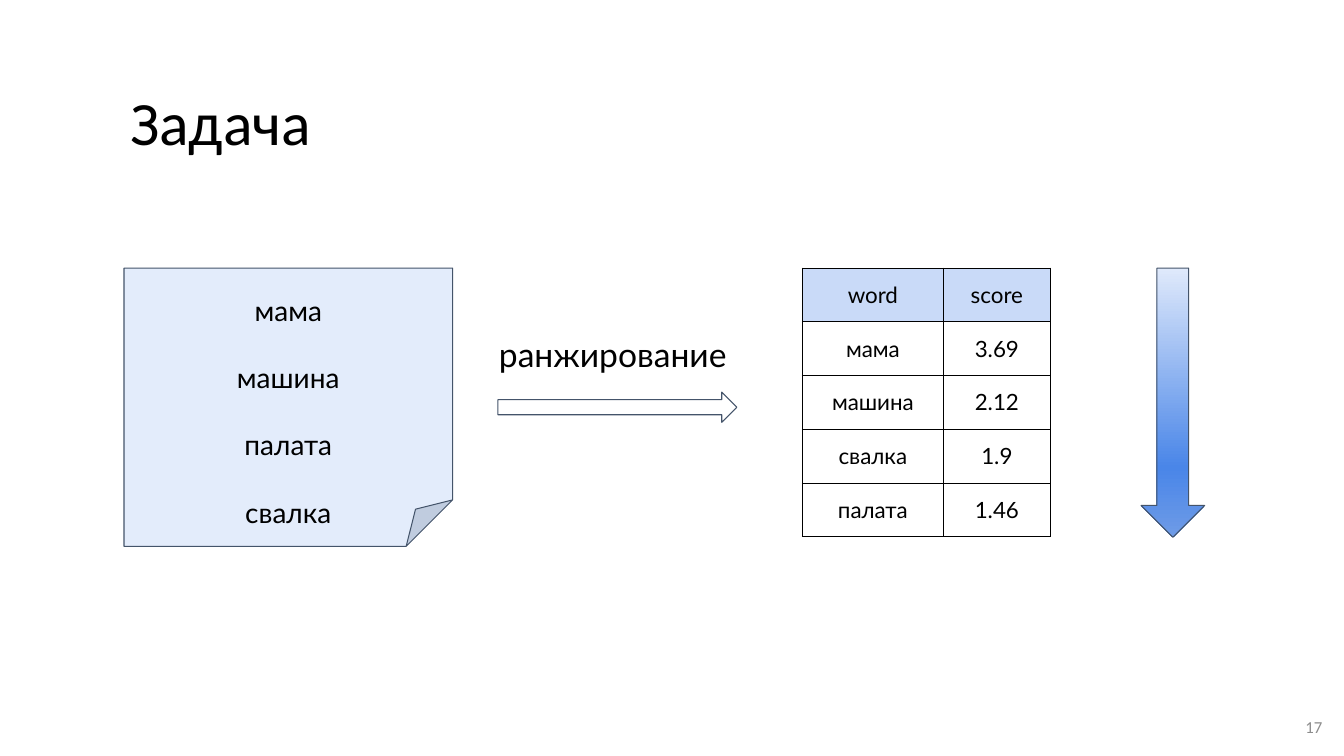
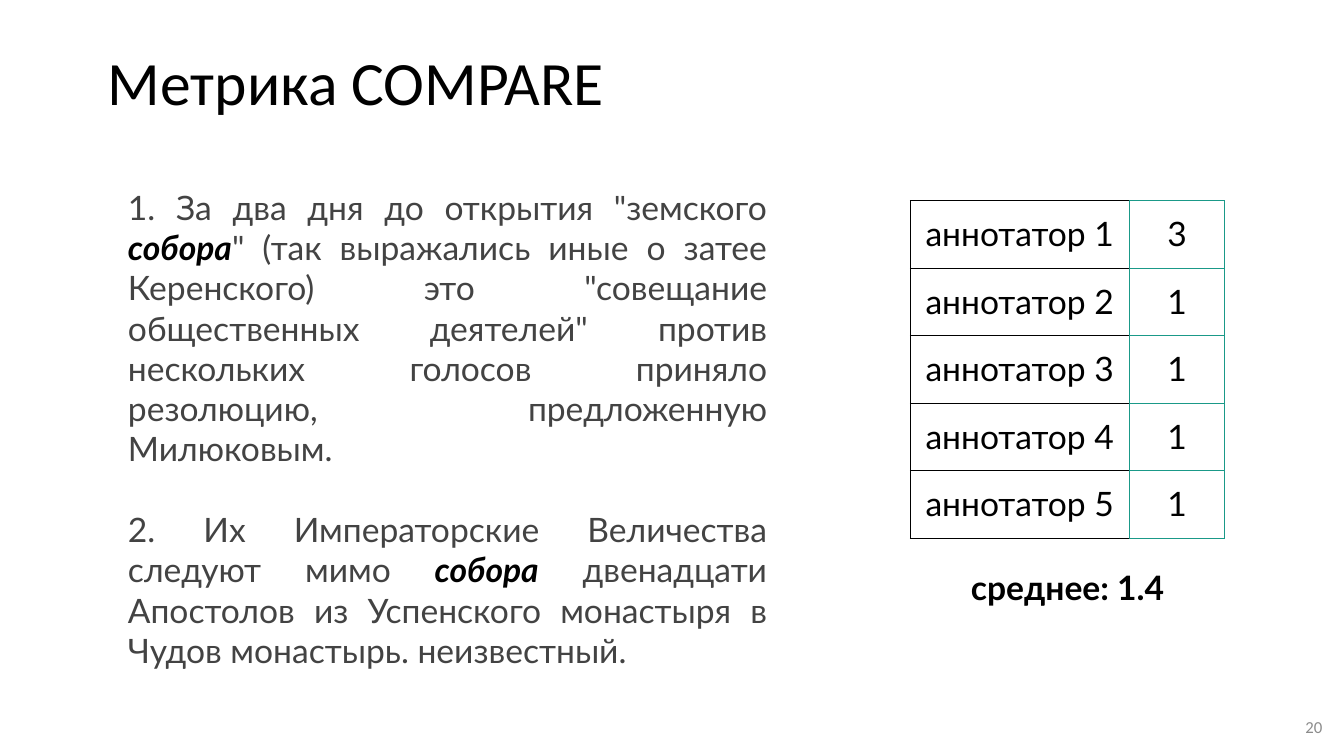
"""Two slides on ranking words and on the COMPARE metric."""
from lxml.etree import SubElement
from pptx import Presentation
from pptx.dml.color import RGBColor
from pptx.enum.shapes import MSO_SHAPE
from pptx.enum.text import MSO_ANCHOR, PP_ALIGN
from pptx.oxml.ns import qn
from pptx.util import Inches, Pt

BLACK, WHITE, GREY, DARK = "000000", "FFFFFF", "8C8C8C", "434343"
PALE_BLUE, OUTLINE, TEAL = "C9DAF8", "44546A", "1A9988"
BODY_FONT, TITLE_FONT = "Lato", "Calibri"
INSET = Inches(0.13)
LEFT, CENTER, RIGHT, JUSTIFY = PP_ALIGN.LEFT, PP_ALIGN.CENTER, PP_ALIGN.RIGHT, PP_ALIGN.JUSTIFY
CONTENT_TOP = 35.47

presentation = Presentation()
presentation.slide_width = Inches(13.33)
presentation.slide_height = Inches(7.5)


def place(left, top, width, height):
    """Turn percentages of the slide into lengths."""
    across, down = presentation.slide_width / 100, presentation.slide_height / 100
    return int(left * across), int(top * down), int(width * across), int(height * down)


def write(frame, paragraphs, size, align=LEFT, font=BODY_FONT, gap=0):
    """Fill a text frame with paragraphs of (text, colour, emphasis) runs."""
    frame.word_wrap = True
    for index, runs in enumerate(paragraphs):
        paragraph = frame.add_paragraph() if index else frame.paragraphs[0]
        paragraph.alignment = align
        paragraph.space_before = Pt(gap if index else 0)
        for text, colour, emphasis in runs:
            run = paragraph.add_run()
            run.text = text
            run.font.name, run.font.size = font, Pt(size)
            run.font.color.rgb = RGBColor.from_string(colour)
            run.font.bold, run.font.italic = "b" in emphasis, "i" in emphasis


slides = []
for title, number, left, top in [("Задача", "17", 8.7, 10.53), ("Метрика COMPARE", "20", 7.05, 5.2)]:
    slide = presentation.slides.add_slide(presentation.slide_layouts[6])
    slides.append(slide)
    heading = slide.shapes.add_textbox(*place(left, top, 84.07, 10.4))
    write(heading.text_frame, [[(title, BLACK, "")]], 44, font=TITLE_FONT)
    heading.text_frame.paragraphs[0].line_spacing = 0.9
    page = slide.shapes.add_textbox(*place(93.37, 92.4, 6, 7.6))
    write(page.text_frame, [[(number, GREY, "")]], 12, RIGHT, TITLE_FONT)
    page.text_frame.vertical_anchor = MSO_ANCHOR.MIDDLE
task, metric = slides

shapes = []
for kind, box in [
    (MSO_SHAPE.FOLDED_CORNER, (9.23, CONTENT_TOP, 24.45, 36.8)),
    (MSO_SHAPE.RIGHT_ARROW, (37.05, 51.87, 17.78, 4)),
    (MSO_SHAPE.DOWN_ARROW, (84.9, CONTENT_TOP, 4.73, 35.6)),
]:
    shape = task.shapes.add_shape(kind, *place(*box))
    shape.shadow.inherit = False
    shape.fill.solid()
    shape.fill.fore_color.rgb = RGBColor.from_string(WHITE)
    shape.line.color.rgb = RGBColor.from_string(OUTLINE)
    shape.line.width = Pt(0.75)
    shapes.append(shape)
note, ranking_arrow, score_arrow = shapes

note.fill.fore_color.rgb = RGBColor.from_string(PALE_BLUE)
note_colour = note._element.spPr.find(qn("a:solidFill"))[0]
SubElement(note_colour, qn("a:alpha"), val="51000")
words = ["мама", "машина", "палата", "свалка"]
write(note.text_frame, [[(word, BLACK, "")] for word in words], 20, CENTER, gap=24)
note.text_frame.vertical_anchor = MSO_ANCHOR.TOP

score_arrow.fill.gradient()
score_arrow.fill.gradient_angle = 270
stops = score_arrow._element.spPr.find(qn("a:gradFill")).find(qn("a:gsLst"))
for stop in list(stops):
    stops.remove(stop)
for position, colour in [(0, "DFE9FB"), (74, "4A86E8"), (100, "6E9BE7")]:
    stop = SubElement(stops, qn("a:gs"), pos=str(position * 1000))
    SubElement(stop, qn("a:srgbClr"), val=colour)

sentences = [
    [
        ('1. За два дня до открытия "земского ', DARK, ""),
        ("собора", BLACK, "bi"),
        ('" (так выражались иные о затее Керенского) это "совещание общественных деятелей" '
         "против нескольких голосов приняло резолюцию, предложенную Милюковым.", DARK, ""),
    ],
    [
        ("2. Их Императорские Величества следуют мимо ", DARK, ""),
        ("собора", BLACK, "bi"),
        (" двенадцати Апостолов из Успенского монастыря в Чудов монастырь. неизвестный.", DARK, ""),
    ],
]
for slide, box, paragraphs, align, gap in [
    (task, (36.15, 42.4, 19.58, 8.93), [[("ранжирование", BLACK, "")]], LEFT, 0),
    (metric, (7.05, 22.93, 51, 68.27), sentences, JUSTIFY, 28.8),
    (metric, (70.13, 73.2, 18.6, 8.93), [[("среднее: 1.4", BLACK, "b")]], CENTER, 0),
]:
    text_box = slide.shapes.add_textbox(*place(*box))
    write(text_box.text_frame, paragraphs, 24, align, gap=gap)
    if align == JUSTIFY:
        for paragraph in text_box.text_frame.paragraphs:
            paragraph._p.get_or_add_pPr().set("marL", str(Inches(0.2)))

for slide in slides:
    for shape in slide.shapes:
        frame = shape.text_frame
        frame.margin_left = frame.margin_right = frame.margin_top = frame.margin_bottom = INSET
note.text_frame.margin_top = Inches(0.25)

scores = [("word", "score"), ("мама", "3.69"), ("машина", "2.12"), ("свалка", "1.9"), ("палата", "1.46")]
marks = [(f"аннотатор {index}", mark) for index, mark in enumerate("31111", 1)]
for slide, rows, left, top, widths, row_height, size, header_fill, borders in [
    (task, scores, 59.7, CONTENT_TOP, (10.5, 7.95), 7.11, 16, PALE_BLUE, (BLACK, BLACK)),
    (metric, marks, 67.73, 26.53, (16.28, 7.13), 8.93, 24, None, (BLACK, TEAL)),
]:
    box = place(left, top, sum(widths), row_height * len(rows))
    table = slide.shapes.add_table(len(rows), len(widths), *box).table
    table.first_row = table.horz_banding = False
    for column, width in zip(table.columns, widths):
        column.width = place(0, 0, width, 0)[2]
    for row_index, values in enumerate(rows):
        table.rows[row_index].height = place(0, 0, 0, row_height)[3]
        for column_index, value in enumerate(values):
            cell = table.cell(row_index, column_index)
            cell.margin_left = cell.margin_right = cell.margin_top = cell.margin_bottom = INSET
            write(cell.text_frame, [[(value, BLACK, "")]], size, CENTER)
            properties = cell._tc.get_or_add_tcPr()
            for side in ("L", "R", "T", "B"):
                colour = borders[1] if side == "R" else borders[column_index]
                line = SubElement(properties, qn(f"a:ln{side}"), w=str(Pt(0.75)))
                SubElement(SubElement(line, qn("a:solidFill")), qn("a:srgbClr"), val=colour)
            if header_fill and row_index == 0:
                cell.fill.solid()
                cell.fill.fore_color.rgb = RGBColor.from_string(header_fill)
            else:
                cell.fill.background()

presentation.save("out.pptx")
